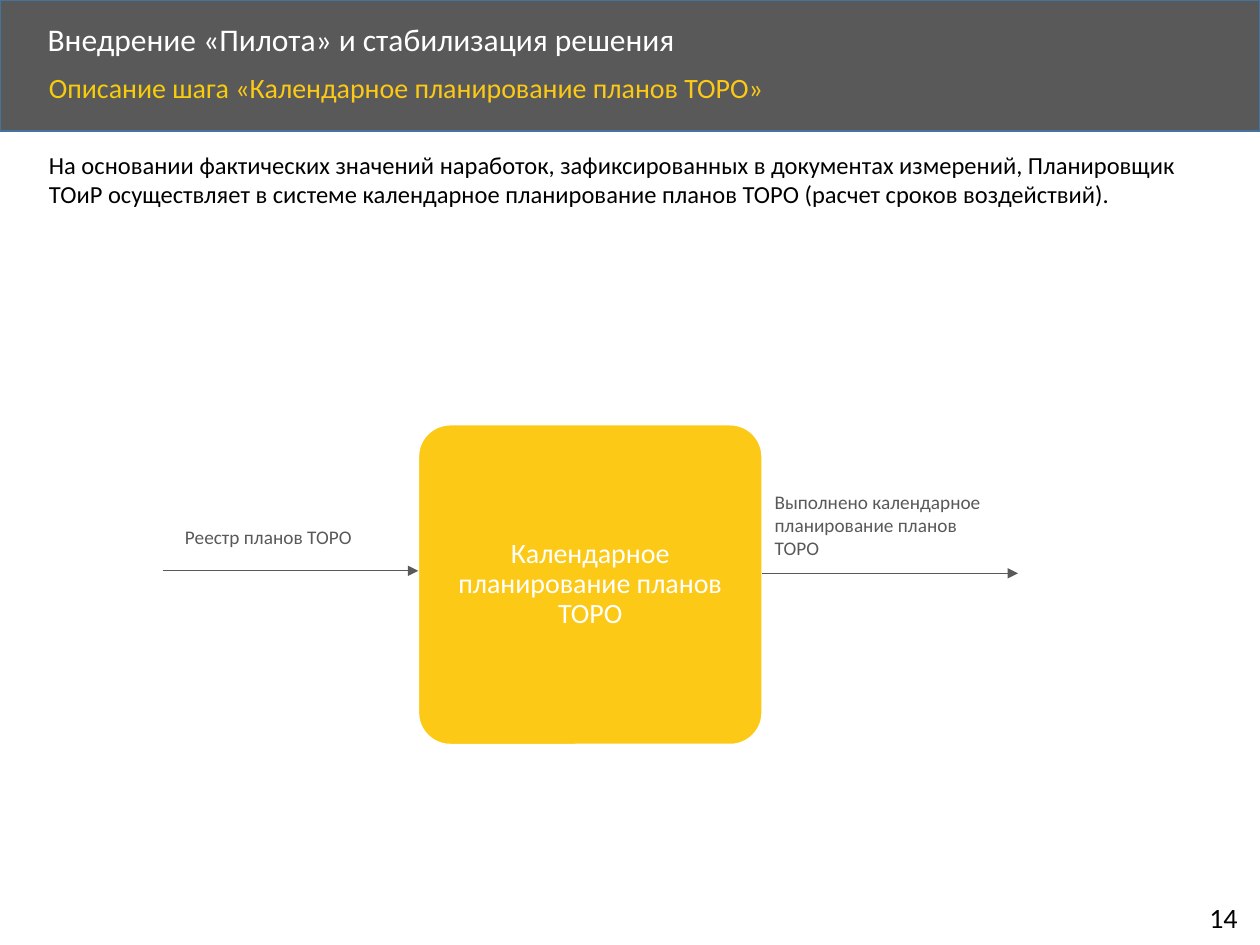
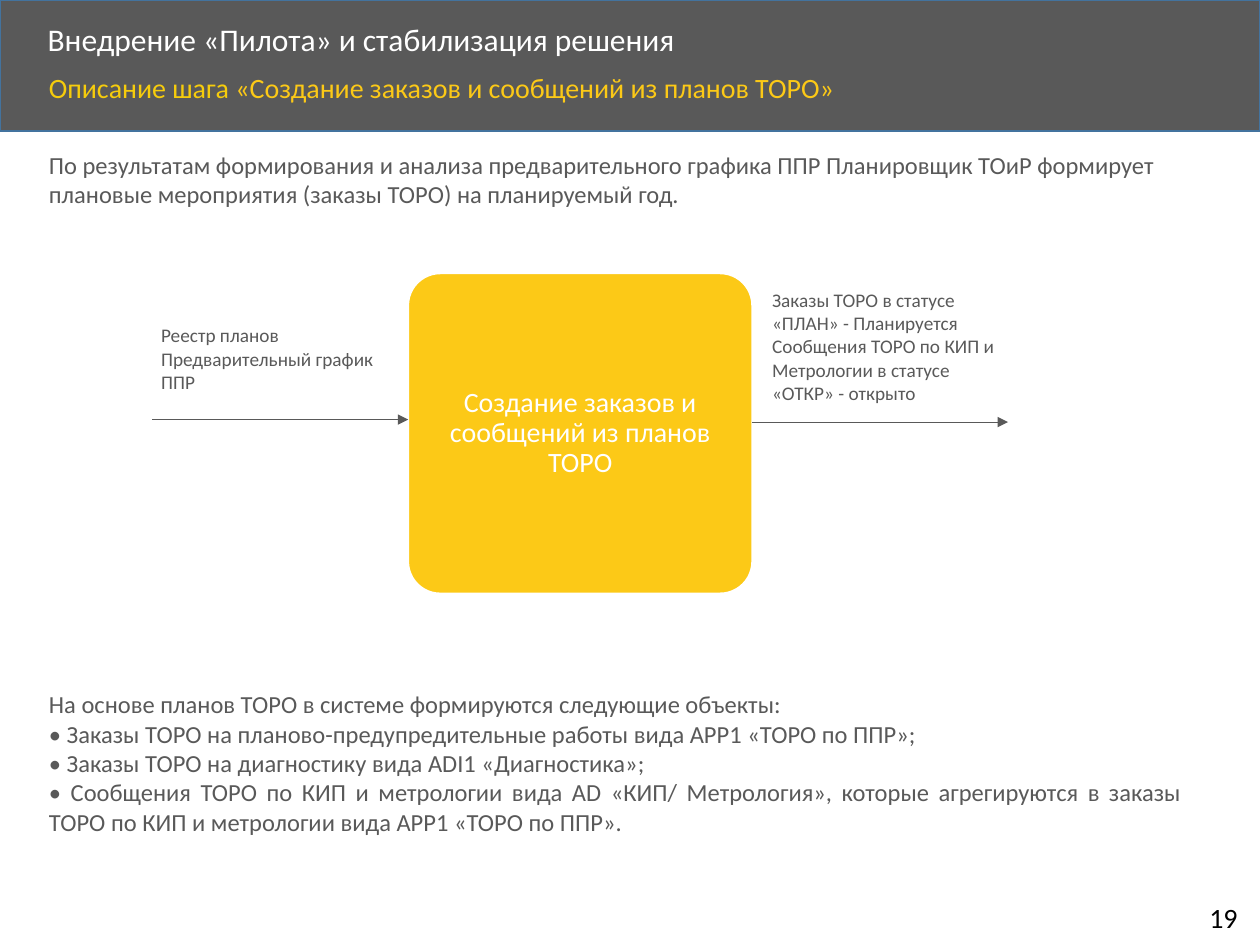
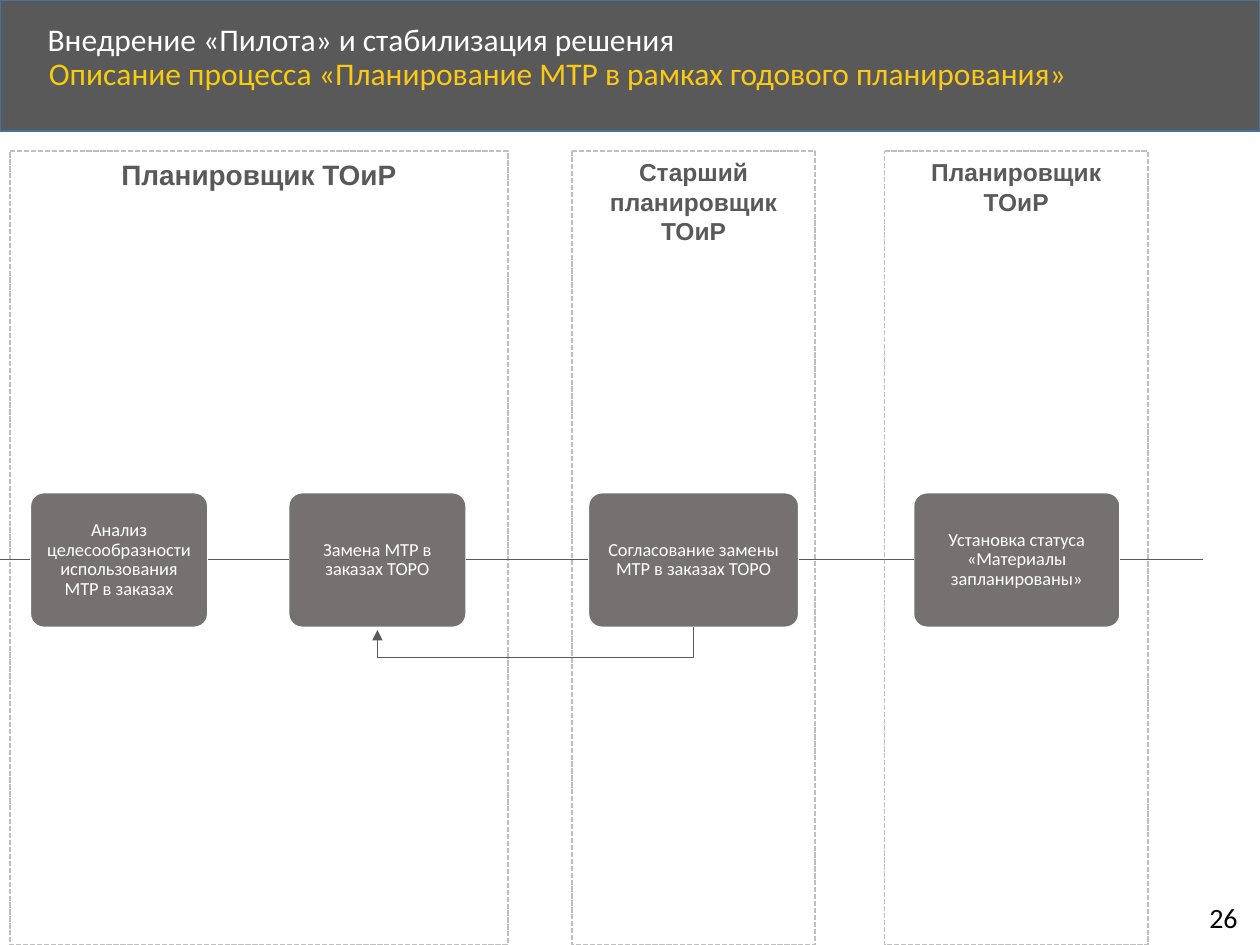
from dataclasses import dataclass
from itertools import pairwise

from lxml.etree import SubElement
from pptx import Presentation
from pptx.dml.color import RGBColor
from pptx.enum.dml import MSO_LINE
from pptx.enum.shapes import MSO_CONNECTOR, MSO_SHAPE
from pptx.enum.text import MSO_ANCHOR, PP_ALIGN
from pptx.oxml.ns import qn
from pptx.util import Inches, Pt


@dataclass(frozen=True)
class Theme:
    grey: str = "595959"
    step_grey: str = "767171"
    lane_grey: str = "BFBFBF"
    band_edge: str = "43739E"
    yellow: str = "F6CC0C"
    gold: str = "FCC917"
    white: str = "FFFFFF"
    black: str = "000000"
    font: str = "Calibri"
    lane_font: str = "Arial"
    title: float = 18
    heading: float = 16
    body: float = 14
    label: float = 11
    step: float = 10.5


THEME = Theme()
COLUMNS, ROWS = 100, 75  # square grid cells of a tenth of an inch
WIDTH, HEIGHT = Inches(10), Inches(7.5)
TITLE = "Внедрение «Пилота» и стабилизация решения"


def grid(column, row):
    """Turn grid columns and rows into slide lengths."""
    return round(WIDTH * column / COLUMNS), round(HEIGHT * row / ROWS)


def write(frame, paragraphs, size=THEME.body, color=THEME.grey, font=THEME.font,
          bold=False, align=PP_ALIGN.LEFT, spacing=None, anchor=MSO_ANCHOR.TOP,
          inset=None, wrap=True):
    """Fill a frame; each paragraph is a string or a list of (text, color) runs."""
    frame.word_wrap = wrap
    frame.vertical_anchor = anchor
    if inset is not None:
        frame.margin_left = frame.margin_right = Inches(inset)
        frame.margin_top = frame.margin_bottom = Inches(0.01)
    for index, content in enumerate(paragraphs):
        paragraph = frame.paragraphs[0] if index == 0 else frame.add_paragraph()
        paragraph.alignment = align
        if spacing:
            paragraph.line_spacing = spacing
        runs = [(content, color)] if isinstance(content, str) else content
        for text, run_color in runs:
            for number, line in enumerate(text.split("\n")):
                if number:
                    paragraph.add_line_break()
                run = paragraph.add_run()
                run.text = line
                run.font.name, run.font.size, run.font.bold = font, Pt(size), bold
                run.font.color.rgb = RGBColor.from_string(run_color)


def add_text(slide, left, top, width, height, *paragraphs, **style):
    box = slide.shapes.add_textbox(*grid(left, top), *grid(width, height))
    write(box.text_frame, paragraphs, **style)


def add_box(slide, left, top, width, height, text="", fill=None, edge=THEME.white,
            corner=None, dash=None, **style):
    kind = MSO_SHAPE.RECTANGLE if corner is None else MSO_SHAPE.ROUNDED_RECTANGLE
    box = slide.shapes.add_shape(kind, *grid(left, top), *grid(width, height))
    box.shadow.inherit = False
    if corner is not None:
        box.adjustments[0] = corner
    if fill:
        box.fill.solid()
        box.fill.fore_color.rgb = RGBColor.from_string(fill)
    else:
        box.fill.background()
    box.line.color.rgb = RGBColor.from_string(edge)
    box.line.width = Pt(1)
    if dash:
        box.line.dash_style = dash
    if text:
        write(box.text_frame, [text], align=PP_ALIGN.CENTER, **style)


def add_line(slide, start, end, arrow=False, kind=MSO_CONNECTOR.STRAIGHT):
    link = slide.shapes.add_connector(kind, *grid(*start), *grid(*end))
    link.line.color.rgb = RGBColor.from_string(THEME.grey)
    link.line.width = Pt(0.5)
    properties = link._element.spPr
    if arrow:
        SubElement(properties.find(qn("a:ln")), qn("a:tailEnd"), type="triangle")
    SubElement(properties, qn("a:effectLst"))
    return link


def add_return_arrow(slide, start, end, depth):
    """Arrow that leaves downwards, runs left and comes back up: an elbow turned by 90°."""
    (x1, y1), (x2, y2) = start, end
    span, drop = x1 - x2, y2 - y1
    x, y = (x1 + x2) / 2, (y1 + y2) / 2
    link = add_line(slide, (x - drop / 2, y - span / 2), (x + drop / 2, y + span / 2),
                    arrow=True, kind=MSO_CONNECTOR.ELBOW)
    properties = link._element.spPr
    properties.find(qn("a:xfrm")).set("rot", str(90 * 60000))
    geometry = properties.find(qn("a:prstGeom"))
    guides = geometry.find(qn("a:avLst"))
    if guides is None:
        guides = SubElement(geometry, qn("a:avLst"))
    SubElement(guides, qn("a:gd"), name="adj1",
               fmla=f"val {round(depth / drop * 100000)}")


def add_page(deck, number, lead, subject, top=5.4, size=THEME.heading):
    """Blank slide with the title band, the subtitle and the page number."""
    slide = deck.slides.add_slide(deck.slide_layouts[6])
    add_box(slide, 0, 0, COLUMNS, 10.4, fill=THEME.grey, edge=THEME.band_edge)
    add_text(slide, 2.8, 1.4, 80.7, 3.8, TITLE, size=THEME.title, color=THEME.white,
             spacing=0.9, anchor=MSO_ANCHOR.MIDDLE)
    add_text(slide, 95, 71, 4.6, 3.7, str(number), size=THEME.heading,
             color=THEME.black, wrap=False)
    add_text(slide, 2.9, top, 86.6, 4.5, [(lead, THEME.yellow), (subject, THEME.gold)],
             size=size, spacing=0.9)
    return slide


def add_intro(slide, text, color=THEME.grey):
    add_text(slide, 2.9, 11.4, 94.6, 5.7, text, color=color)


def add_activity(slide, left, top, name):
    """Activity block with one arrow in and one arrow out."""
    width, reach = 27.3, 20.3
    right = left + width
    add_box(slide, left, top, width, 25.4, name, fill=THEME.gold, corner=0.1,
            size=THEME.heading, color=THEME.white, spacing=0.9,
            anchor=MSO_ANCHOR.MIDDLE, inset=0.01)
    add_line(slide, (right, top + 11.8), (right + reach, top + 11.8), arrow=True)
    add_line(slide, (left - reach, top + 11.6), (left, top + 11.6), arrow=True)


def add_flow_label(slide, left, top, height, text):
    add_text(slide, left, top, 20, height, text, size=THEME.label)


def scheduling_slide(deck):
    slide = add_page(deck, 14, "Описание шага ", "«Календарное планирование планов ТОРО»")
    add_intro(slide, "На основании фактических значений наработок, зафиксированных в "
              "документах измерений, Планировщик ТОиР осуществляет в системе календарное "
              "планирование планов ТОРО (расчет сроков воздействий).", THEME.black)
    add_activity(slide, 33.2, 33.7, "Календарное планирование планов ТОРО")
    add_flow_label(slide, 13.7, 41.2, 2.9, "Реестр планов ТОРО")
    add_flow_label(slide, 60.5, 38.4, 6.6, "Выполнено календарное планирование планов ТОРО")


def orders_slide(deck):
    slide = add_page(deck, 19, "Описание шага ",
                     "«Создание заказов и сообщений из планов ТОРО»")
    add_intro(slide, "По результатам формирования и анализа предварительного графика ППР "
              "Планировщик ТОиР формирует плановые мероприятия (заказы ТОРО) на "
              "планируемый год.")
    add_activity(slide, 32.4, 21.7, "Создание заказов и сообщений из планов ТОРО")
    add_flow_label(slide, 11.8, 25.2, 6.6, "Реестр планов\nПредварительный график ППР")
    add_flow_label(slide, 60.3, 22.4, 10.3,
                   "Заказы ТОРО в статусе «ПЛАН» - Планируется\n"
                   "Сообщения ТОРО по КИП и Метрологии в статусе «ОТКР» - открыто")
    add_text(slide, 2.9, 54.2, 91.9, 12.8,
             "На основе планов ТОРО в системе формируются следующие объекты:",
             "• Заказы ТОРО на планово-предупредительные работы вида APP1 «ТОРО по ППР»;",
             "• Заказы ТОРО на диагностику вида ADI1 «Диагностика»;",
             "• Сообщения ТОРО по КИП и метрологии вида АD «КИП/ Метрология», которые "
             "агрегируются в заказы ТОРО по КИП и метрологии вида APP1 «ТОРО по ППР».",
             align=PP_ALIGN.JUSTIFY)


def materials_slide(deck):
    slide = add_page(deck, 26, "Описание процесса ",
                     "«Планирование МТР в рамках годового планирования»",
                     top=4.1, size=THEME.title)
    # Role lanes: left, width, role, type size
    lanes = [
        (0.8, 39.5, "Планировщик ТОиР", THEME.heading),
        (45.4, 19.3, "Старший планировщик ТОиР", THEME.body),
        (70.2, 20.9, "Планировщик ТОиР", THEME.body),
    ]
    for left, width, role, size in lanes:
        add_box(slide, left, 12, width, ROWS - 12, role, edge=THEME.lane_grey, corner=0,
                dash=MSO_LINE.SQUARE_DOT, size=size, font=THEME.lane_font, bold=True)
    # Process steps: left, width, name
    steps = [
        (2.4, 14.1, "Анализ целесообразности использования МТР в заказах"),
        (22.9, 14.1, "Замена МТР в заказах ТОРО"),
        (46.7, 16.7, "Согласование замены МТР в заказах ТОРО"),
        (72.5, 16.4, "Установка статуса «Материалы запланированы»"),
    ]
    top, height, middle = 39.1, 10.7, 44.4
    for left, width, name in steps:
        add_box(slide, left, top, width, height, name, fill=THEME.step_grey, corner=0.1,
                size=THEME.step, color=THEME.white, spacing=0.9,
                anchor=MSO_ANCHOR.MIDDLE, inset=0.06)
    # Links between the steps and the way back from approval to replacement
    spans = [(0, 0), *((left, left + width) for left, width, _ in steps), (95.5, 95.5)]
    for (_, exit_edge), (entry_edge, _) in pairwise(spans):
        add_line(slide, (exit_edge, middle), (entry_edge, middle))
    replacement, approval = (left + width / 2 for left, width, _ in steps[1:3])
    bottom = top + height
    add_return_arrow(slide, (approval, bottom), (replacement, bottom + 0.2), depth=2.4)


def main():
    deck = Presentation()
    deck.slide_width, deck.slide_height = WIDTH, HEIGHT
    scheduling_slide(deck)
    orders_slide(deck)
    materials_slide(deck)
    deck.save("out.pptx")


if __name__ == "__main__":
    main()
